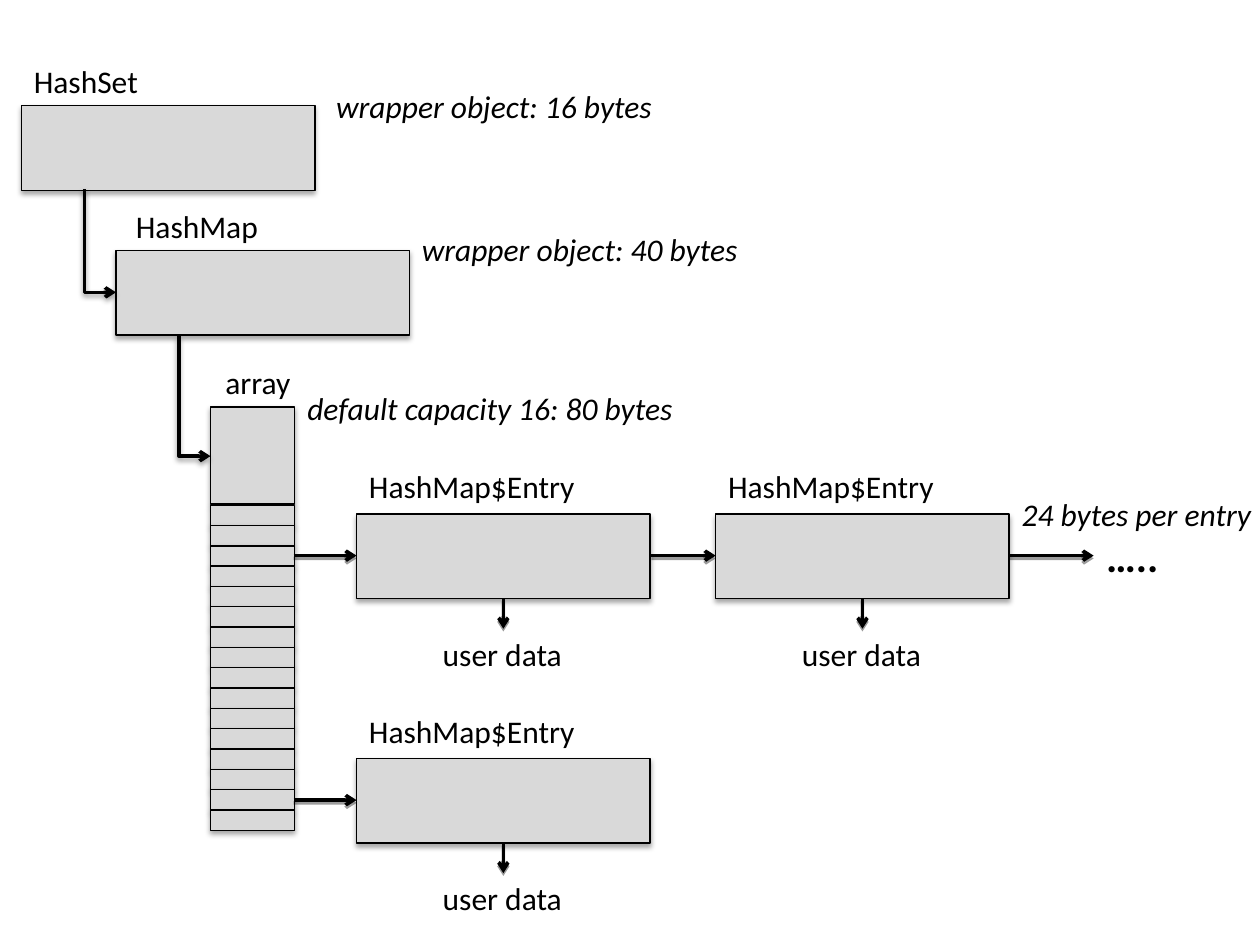
from pptx import Presentation
from pptx.dml.color import RGBColor
from pptx.enum import shapes as es, text as et
from pptx.oxml import parse_xml
from pptx.oxml.ns import nsdecls, qn
from pptx.util import Inches, Pt

BLACK = RGBColor(0, 0, 0)
GREY = RGBColor(0xD9, 0xD9, 0xD9)
WIDE, HIGH = 2.33, 0.67  # object box
SLOTS, STEP = 16, 0.1613  # array slots


def shade(shape, alpha, blur, dist):
    """Add a soft shadow that falls straight down."""
    shape._element.spPr.append(parse_xml(
        f'<a:effectLst {nsdecls("a")}><a:outerShdw blurRad="{Pt(blur)}" '
        f'dist="{Pt(dist)}" dir="5400000" rotWithShape="0"><a:srgbClr val="{BLACK}">'
        f'<a:alpha val="{alpha * 1000}"/></a:srgbClr></a:outerShdw></a:effectLst>'))


def add_text(parent, words, x, y, w, h=0.4, size=18, bold=False, italic=False, wrap=False):
    box = parent.add_textbox(Inches(x), Inches(y), Inches(w), Inches(h))
    frame = box.text_frame
    frame.word_wrap = wrap
    frame.auto_size = et.MSO_AUTO_SIZE.SHAPE_TO_FIT_TEXT
    run = frame.paragraphs[0].add_run()
    run.text = words
    font = run.font
    font.name, font.size = "Calibri", Pt(size)
    font.bold, font.italic = bold, italic
    font.color.rgb = BLACK


def add_note(parent, words, x, y, w):
    add_text(parent, words, x, y, w, italic=True, wrap=True)


def add_box(parent, x, y, w=WIDE, h=HIGH):
    box = parent.add_shape(es.MSO_SHAPE.RECTANGLE, Inches(x), Inches(y), Inches(w), Inches(h))
    box.fill.solid()
    box.fill.fore_color.rgb = GREY
    box.line.color.rgb = BLACK
    box.line.width = Pt(0.75)
    shade(box, 35, 3.1, 1.8)


def add_arrow(parent, x1, y1, x2, y2, kind=es.MSO_CONNECTOR.STRAIGHT, blur=0):
    arrow = parent.add_connector(kind, Inches(x1), Inches(y1), Inches(x2), Inches(y2))
    arrow.line.color.rgb = BLACK
    arrow.line.width = Pt(2)
    arrow.line._get_or_add_ln().append(parse_xml(f'<a:tailEnd {nsdecls("a")} type="arrow"/>'))
    shade(arrow, 38, blur, 1.6)
    return arrow


def add_bend(parent, x1, y1, x2, y2):
    """Run down, then right: a one-corner elbow, turned about its centre."""
    mid_x, mid_y = (x1 + x2) / 2, (y1 + y2) / 2
    half_w, half_h = (y2 - y1) / 2, (x2 - x1) / 2
    bend = add_arrow(parent, mid_x - half_w, mid_y - half_h, mid_x + half_w, mid_y + half_h,
                     kind=es.MSO_CONNECTOR.ELBOW, blur=3.1)
    props = bend._element.spPr
    props.find(qn("a:prstGeom")).set("prst", "bentConnector2")
    frame = props.find(qn("a:xfrm"))
    frame.set("rot", str(270 * 60000))
    frame.set("flipH", "1")


def add_wrapper(parent, x, y, name, name_x, name_w, note, note_x, note_y):
    """Object box with its name above and its size to the right."""
    add_box(parent, x, y)
    add_text(parent, name, x + name_x, y - 0.4, name_w)
    add_note(parent, note, x + note_x, y + note_y, 2.85)


def add_array(parent, x, y, w):
    """Array header over a column of slots."""
    add_text(parent, "array", x + 0.02, y - 0.4, 0.73)
    add_note(parent, "default capacity 16: 80 bytes", x + w, y - 0.19, 3.19)
    add_box(parent, x, y, w, 0.77)
    for i in range(SLOTS):
        add_box(parent, x, y + 0.78 + i * STEP, w, 0.16)


def add_entry(parent, x, y):
    """Map entry that points down to its user data."""
    group = parent.add_group_shape().shapes
    mid, low = x + WIDE / 2, y + HIGH
    add_box(group, x, y)
    add_text(group, "HashMap$Entry", x, y - 0.42, 1.84)
    add_arrow(group, mid, low, mid, low + 0.24)
    add_text(group, "user data", mid - 0.58, low + 0.24, 1.15)


def main():
    deck = Presentation()
    deck.slide_width, deck.slide_height = Inches(10), Inches(7.5)
    parts = deck.slides.add_slide(deck.slide_layouts[6]).shapes

    # Wrapper objects
    add_wrapper(parts, 0.92, 1.99, "HashMap", 0.06, 1.17,
                "wrapper object: 40 bytes", 2.33, -0.21)
    add_wrapper(parts, 0.17, 0.84, "HashSet", 0, 1.03,
                "wrapper object: 16 bytes", 2.4, -0.2)
    add_bend(parts, 0.67, 1.5, 0.92, 2.32)

    # Array
    add_array(parts, 1.67, 3.23, HIGH)
    add_bend(parts, 1.42, 2.67, 1.67, 3.62)

    # Entries
    for x, y in ((2.83, 4.08), (5.68, 4.08), (2.83, 6.02)):
        add_entry(parts, x, y)
    for x1, x2, y in ((2.33, 2.83, 4.41), (5.17, 5.68, 4.41),
                      (8.01, 8.68, 4.41), (2.33, 2.83, 6.35)):
        add_arrow(parts, x1, y, x2, y)
    add_note(parts, "24 bytes per entry", 8.01, 3.88, 2.06)
    add_text(parts, "…..", 8.68, 4.16, 0.62, 0.5, size=24, bold=True)

    deck.save("out.pptx")


if __name__ == "__main__":
    main()
